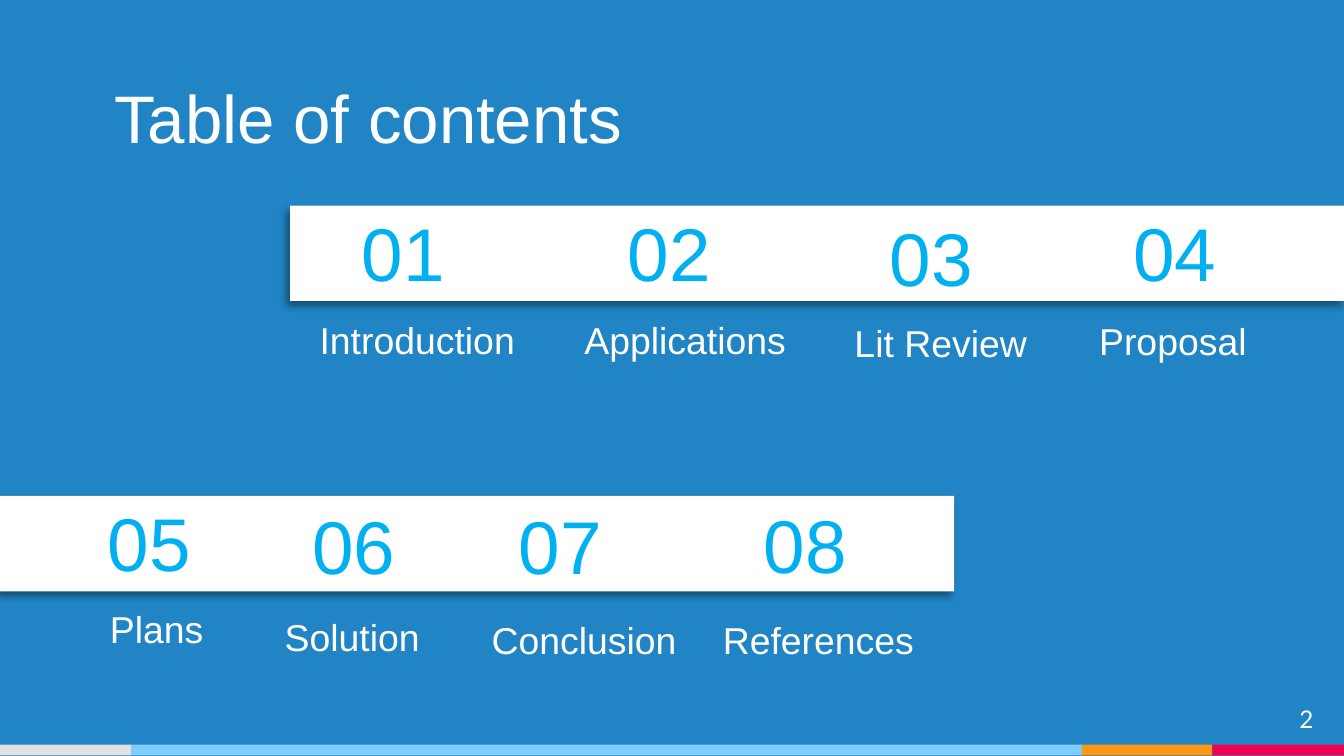
from lxml import etree
from pptx import Presentation
from pptx.dml.color import RGBColor
from pptx.enum import shapes, text
from pptx.oxml import ns
from pptx.util import Inches, Pt

BLUE = RGBColor(0x21, 0x85, 0xC5)
CYAN = RGBColor(0x00, 0xB0, 0xF0)
WHITE = RGBColor(0xFF, 0xFF, 0xFF)
ORANGE = RGBColor(0xFF, 0x97, 0x15)
RED = RGBColor(0xF2, 0x02, 0x53)
GREY = RGBColor(0xDE, 0xE2, 0xE6)
SKY = RGBColor(0x7E, 0xCE, 0xFD)

TITLE = "Table of contents"
PAGE_NUMBER = "2"
# Footer stripe: width, colour
STRIPE = [(0.98, GREY), (7.07, SKY), (0.97, ORANGE), (0.98, RED)]
# Banners: left, top, width
BANNERS = [(2.16, 1.53, 7.84), (0, 3.69, 7.1)]
# Sections: name, number left and top, name left and top
SECTIONS = [
    ("Introduction", (2.09, 1.49), (2.28, 2.31)),
    ("Applications", (4.07, 1.49), (4.25, 2.31)),
    ("Lit Review", (6.02, 1.53), (6.26, 2.33)),
    ("Proposal", (7.83, 1.49), (8.08, 2.32)),
    ("Plans", (0.2, 3.65), (0.72, 4.46)),
    ("Solution", (1.72, 3.67), (2.02, 4.52)),
    ("Conclusion", (3.26, 3.67), (3.56, 4.54)),
    ("References", (5.08, 3.66), (5.28, 4.54)),
]
NUMBER_SIZE = (1.82, 0.77)
NAME_SIZE = (1.96, 0.44)

NUMBER_FONT = {"size": Pt(40), "name": "Arial"}
NAME_FONT = {"size": Pt(20), "name": "Arial"}
TITLE_FONT = {"size": Pt(36), "name": "Arial"}
PAGE_FONT = {"size": Pt(13), "name": "Lato"}


def write(box, words, font, color, align=text.PP_ALIGN.LEFT):
    frame = box.text_frame
    frame.word_wrap = True
    frame.vertical_anchor = text.MSO_ANCHOR.TOP
    para = frame.paragraphs[0]
    para.alignment = align
    span = para.add_run()
    span.text = words
    for key, value in font.items():
        setattr(span.font, key, value)
    span.font.color.rgb = color
    return frame


def add_text(page, place, *style):
    box = page.shapes.add_textbox(*map(Inches, place))
    return write(box, *style)


def add_bar(page, place, color):
    bar = page.shapes.add_shape(shapes.MSO_SHAPE.RECTANGLE, *map(Inches, place))
    bar.shadow.inherit = False
    bar.fill.solid()
    bar.fill.fore_color.rgb = color
    bar.line.fill.background()
    return bar


def cast_shadow(bar):
    """Give the bar a soft black shadow towards the lower left."""
    effects = bar._element.spPr.find(ns.qn("a:effectLst"))
    shadow = etree.SubElement(
        effects, ns.qn("a:outerShdw"), blurRad=str(Pt(4)), dist=str(Pt(3)),
        dir=str(135 * 60000), algn="tr", rotWithShape="0")
    color = etree.SubElement(shadow, ns.qn("a:srgbClr"), val="000000")
    etree.SubElement(color, ns.qn("a:alpha"), val="40000")


def main():
    deck = Presentation()
    deck.slide_width = Inches(10)
    deck.slide_height = deck.slide_width * 9 // 16
    page = deck.slides.add_slide(deck.slide_layouts[5])
    page.background.fill.solid()
    page.background.fill.fore_color.rgb = BLUE

    left = 0
    for width, color in STRIPE:
        add_bar(page, (left, 5.54, width, 0.08), color)
        left += width

    frame = add_text(page, (9.27, 5.14, 0.6, 0.34), PAGE_NUMBER, PAGE_FONT,
                     WHITE, text.PP_ALIGN.RIGHT)
    frame.margin_top = frame.margin_bottom = Inches(0.1)

    title = page.shapes.title
    title.left, title.top = Inches(0.75), Inches(0.52)
    title.width, title.height = Inches(4.47), Inches(0.71)
    write(title, TITLE, TITLE_FONT, WHITE)

    for left, top, width in BANNERS:
        cast_shadow(add_bar(page, (left, top, width, 0.71), WHITE))

    for number, (name, number_at, name_at) in enumerate(SECTIONS, 1):
        add_text(page, number_at + NUMBER_SIZE, f"{number:02}", NUMBER_FONT,
                 CYAN, text.PP_ALIGN.CENTER)
        add_text(page, name_at + NAME_SIZE, name, NAME_FONT, WHITE)

    deck.save("out.pptx")


if __name__ == "__main__":
    main()
